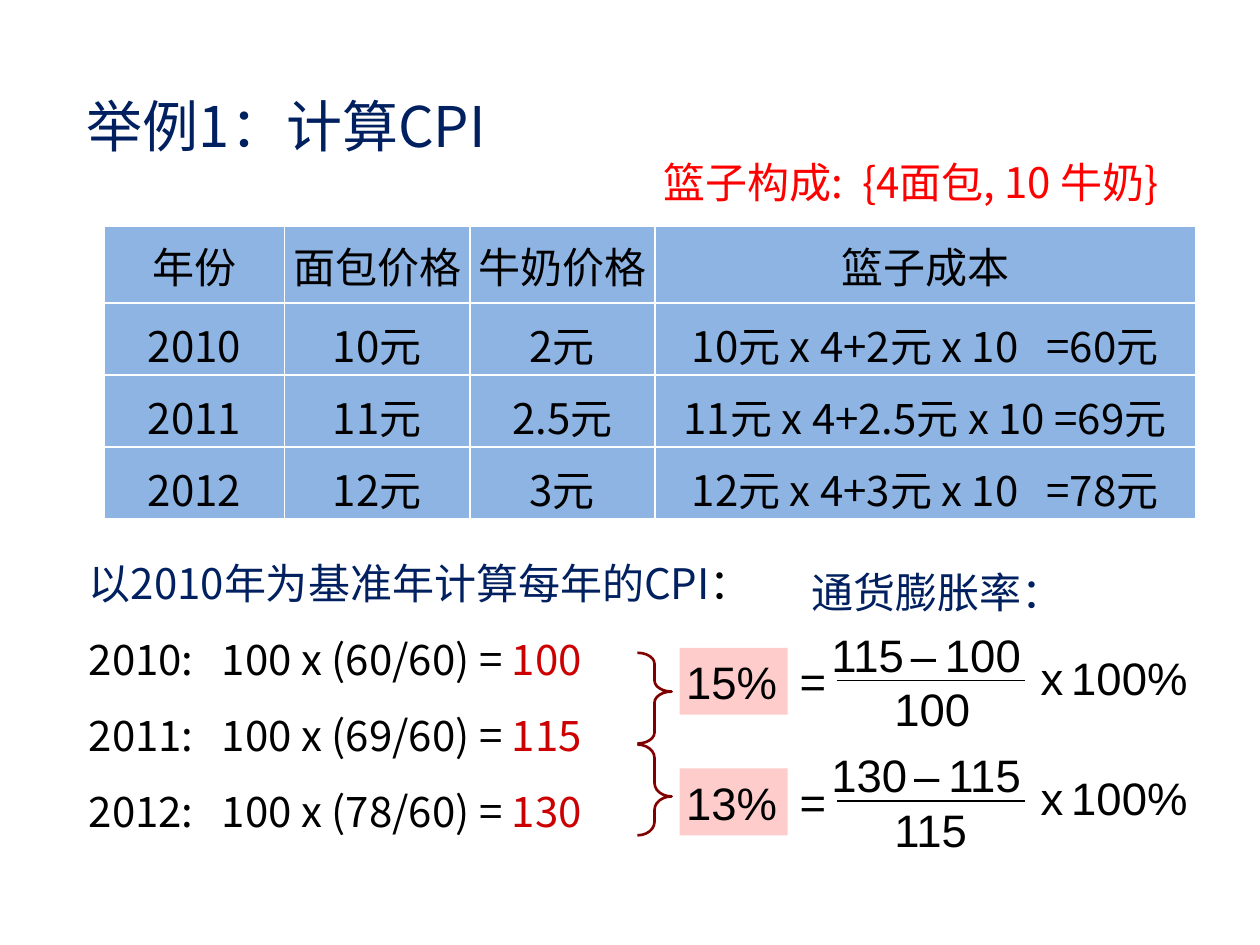
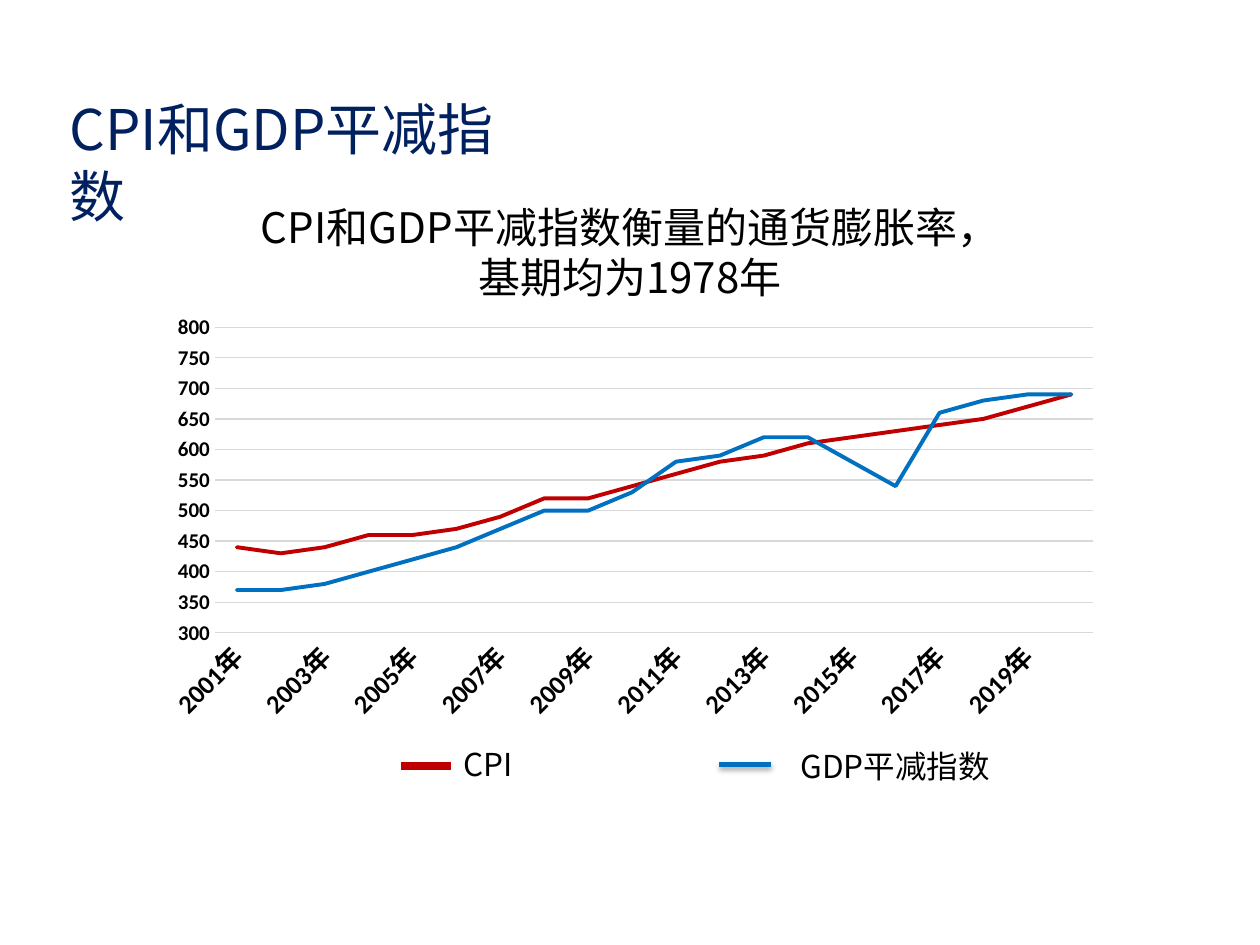
from lxml import etree
from pptx import Presentation
from pptx import util as u
from pptx.chart.data import CategoryChartData
from pptx.dml.color import RGBColor
from pptx.enum import chart as charts, shapes, text
from pptx.oxml import parse_xml
from pptx.oxml.ns import nsdecls, qn

Cm, Pt = u.Cm, u.Pt
rgb = RGBColor.from_string
NAVY, BLACK, WHITE, RED = "002060", "000000", "FFFFFF", "FF0000"
DARK_RED, BLUE, PINK, GRID = "C00000", "0070C0", "FFCCCC", "D9D9D9"
CJK = "Noto Sans CJK SC"
CENTER = text.PP_ALIGN.CENTER
TITLE = {"size": 32, "color": NAVY}


def write(frame, lines, size=24, color=BLACK, font=CJK, align=None, spacing=None, before=None):
    for number, line in enumerate(lines):
        paragraph = frame.paragraphs[0] if number == 0 else frame.add_paragraph()
        pieces = [(line, {})] if isinstance(line, str) else line
        paragraph.text = pieces[0][0]
        for words, _ in pieces[1:]:
            paragraph.add_run().text = words
        paragraph.alignment = align
        paragraph.line_spacing = spacing
        paragraph.space_before = before
        for run, (_, style) in zip(paragraph.runs, pieces):
            run.font.name = font
            run.font.size = Pt(style.get("size", size))
            run.font.color.rgb = rgb(style.get("color", color))
            east_asian = etree.SubElement(run.font._element, qn("a:ea"))
            east_asian.set("typeface", font)


def add_text(slide, box, lines, wrap=True, tight=False, **style):
    frame = slide.shapes.add_textbox(*[Cm(length) for length in box]).text_frame
    frame.word_wrap = wrap
    if tight:
        frame.margin_left = frame.margin_right = frame.margin_top = frame.margin_bottom = 0
        frame.vertical_anchor = text.MSO_ANCHOR.MIDDLE
    write(frame, lines, **style)


presentation = Presentation()
presentation.slide_width, presentation.slide_height = Cm(25.4), Cm(19.05)
blank = presentation.slide_layouts[6]

slide = presentation.slides.add_slide(blank)
add_text(slide, (1.5, 1.72, 9.14, 1.62), ["举例1：计算CPI"], **TITLE)
add_text(slide, (12.49, 3.04, 11.76, 1.52), ["篮子构成:  {4面包, 10 牛奶}"], color=RED, align=CENTER)

cpi_lines = [[("以2010年为基准年计算每年的CPI", {"color": NAVY}), ("：", {})]]
for year, cost, cpi in ((2010, 60, 100), (2011, 69, 115), (2012, 78, 130)):
    cpi_lines.append([(f"{year}:   100 x ({cost}/60) = ", {}), (str(cpi), {"color": "CC0000"})])
add_text(slide, (1.54, 11.07, 14.7, 7.52), cpi_lines, spacing=1.05, before=Pt(13.2))
add_text(slide, (15.93, 11.3, 6.22, 1.35), [" 通货膨胀率："], color=NAVY)

inflation_rates = [
    ("15%", "115", "100", 13.16, (0.321, 0.428)),
    ("13%", "130", "115", 15.01, (0.391, 0.572)),
]
formula = {"wrap": False, "tight": True, "size": 26, "font": "Arial"}
for row, (rate, current, previous, brace_top, adjustments) in enumerate(inflation_rates):
    top = 12.64 + row * 2.43
    rate_box = slide.shapes.add_shape(
        shapes.MSO_SHAPE.RECTANGLE, Cm(13.7), Cm(top + 0.42), Cm(2.18), Cm(1.35))
    rate_box.shadow.inherit = False
    rate_box.fill.solid()
    rate_box.fill.fore_color.rgb = rgb(PINK)
    rate_box.line.fill.background()
    frame = rate_box.text_frame
    frame.margin_left = frame.margin_right = frame.margin_top = frame.margin_bottom = Cm(0.13)
    write(frame, [rate], size=26, font="Arial", align=text.PP_ALIGN.LEFT)

    brace = slide.shapes.add_shape(
        shapes.MSO_SHAPE.RIGHT_BRACE, Cm(12.85), Cm(brace_top), Cm(0.69), Cm(1.83))
    brace.shadow.inherit = False
    brace.fill.background()
    brace.line.color.rgb = rgb("800000")
    brace.line.width = Pt(1.5)
    brace.adjustments[0], brace.adjustments[1] = adjustments

    numerator = [(current, {}), (" ", {"size": 14}), ("–", {}), (" ", {"size": 18}), (previous, {})]
    add_text(slide, (16.76, top, 3.95, 1.09), [numerator], **formula)
    add_text(slide, (18.03, top + 1.1, 1.65, 1.09), [previous], **formula)
    add_text(slide, (20.98, top + 0.46, 3.05, 1.09),
             [[("x", {}), (" ", {"size": 16}), ("100%", {})]], **formula)
    add_text(slide, (16.12, top + 0.52, 0.6, 1.12), ["="], **formula)
    bar = slide.shapes.add_connector(
        shapes.MSO_CONNECTOR.STRAIGHT, Cm(16.87), Cm(top + 1.08), Cm(20.67), Cm(top + 1.08))
    bar.line.color.rgb = rgb(BLACK)
    bar.line.width = Pt(0.75)
    etree.SubElement(bar._element.spPr, qn("a:effectLst"))

basket_rows = [
    ("年份", "面包价格", "牛奶价格", "篮子成本"),
    ("2010", "10元", "2元", "10元 x 4+2元 x 10   =60元"),
    ("2011", "11元", "2.5元", "11元 x 4+2.5元 x 10 =69元"),
    ("2012", "12元", "3元", "12元 x 4+3元 x 10   =78元"),
]
table = slide.shapes.add_table(4, 4, Cm(2.1), Cm(4.56), Cm(22), Cm(5.9)).table
for column, width in zip(table.columns, (3.64, 3.73, 3.73, 10.9)):
    column.width = Cm(width)
for row_number, values in enumerate(basket_rows):
    table.rows[row_number].height = Cm(1.45 if row_number else 1.55)
    for column_number, value in enumerate(values):
        cell = table.cell(row_number, column_number)
        cell.margin_left = cell.margin_right = cell.margin_top = Cm(0.03)
        cell.margin_bottom = 0
        cell.vertical_anchor = text.MSO_ANCHOR.BOTTOM if row_number else text.MSO_ANCHOR.MIDDLE
        write(cell.text_frame, [value], align=CENTER)
        properties = cell._tc.get_or_add_tcPr()
        for edge in ("lnL", "lnR", "lnT", "lnB"):
            properties.append(parse_xml(
                f'<a:{edge} {nsdecls("a")} w="12700"><a:solidFill>'
                f'<a:srgbClr val="{WHITE}"/></a:solidFill></a:{edge}>'))
        cell.fill.solid()
        cell.fill.fore_color.rgb = rgb("8EB4E3")

slide = presentation.slides.add_slide(blank)
add_text(slide, (1.15, 1.78, 9.75, 1.62), ["CPI和GDP平减指数"], **TITLE)
add_text(slide, (4.7, 3.93, 16, 2.31),
         ["CPI和GDP平减指数衡量的通货膨胀率，基期均为1978年"], align=CENTER)

legend_entries = [
    ("GDP平减指数", BLUE, 3, (14.5, 15.55), 15.41, (15.89, 14.93, 4.45, 1.02)),
    ("CPI", DARK_RED, 4.25, (8.09, 9.09), 15.44, (9.09, 14.9, 2.41, 1.8)),
]
for label, color, weight, (start, end), height, label_box in legend_entries:
    key = slide.shapes.add_connector(
        shapes.MSO_CONNECTOR.STRAIGHT, Cm(start), Cm(height), Cm(end), Cm(height))
    key.line.color.rgb = rgb(color)
    key.line.width = Pt(weight)
    effects = etree.SubElement(key._element.spPr, qn("a:effectLst"))
    if color == BLUE:
        effects.append(parse_xml(
            f'<a:outerShdw {nsdecls("a")} blurRad="40000" dist="23000" dir="5400000" '
            f'rotWithShape="0"><a:srgbClr val="{BLACK}"><a:alpha val="35000"/></a:srgbClr>'
            '</a:outerShdw>'))
    add_text(slide, label_box, [label], size=18)

chart_data = CategoryChartData()
chart_data.categories = [f"{year}年" for year in range(2001, 2021)]
chart_data.add_series("Series 1", (440, 430, 440, 460, 460, 470, 490, 520, 520, 540,
                                   560, 580, 590, 610, 620, 630, 640, 650, 670, 690))
chart_data.add_series("Series 2", (370, 370, 380, 400, 420, 440, 470, 500, 500, 530,
                                   580, 590, 620, 620, 580, 540, 660, 680, 690, 690))
chart = slide.shapes.add_chart(
    charts.XL_CHART_TYPE.LINE, Cm(2.97), Cm(6.25), Cm(19.46), Cm(8.68), chart_data).chart
chart.has_legend = False
chart.has_title = False
chart.font.name = "Calibri"
chart.font.size = Pt(10)
chart.font.color.rgb = rgb(BLACK)
chart.plots[0].vary_by_categories = False
for series, color in zip(chart.plots[0].series, (DARK_RED, BLUE)):
    series.smooth = False
    series.marker.style = charts.XL_MARKER_STYLE.NONE
    series.format.line.color.rgb = rgb(color)
    series.format.line.width = Pt(2.25)
    series._element.spPr.find(qn("a:ln")).set("cap", "rnd")

category_axis, value_axis = chart.category_axis, chart.value_axis
for axis, size in ((category_axis, 15), (value_axis, 12)):
    axis.major_tick_mark = axis.minor_tick_mark = charts.XL_TICK_MARK.NONE
    font = axis.tick_labels.font
    font.name, font.size, font.bold = "Calibri", Pt(size), True
    font.color.rgb = rgb(BLACK)
category_axis._element.txPr.bodyPr.set("rot", "-2700000")
value_axis.minimum_scale, value_axis.maximum_scale, value_axis.major_unit = 300, 800, 50
value_axis.format.line.fill.background()
for line in (category_axis.format.line, value_axis.major_gridlines.format.line):
    line.color.rgb = rgb(GRID)
    line.width = Pt(0.75)

plot_area = chart._chartSpace.chart.plotArea
for old_layout in plot_area.findall(qn("c:layout")):
    plot_area.remove(old_layout)
plot_area.insert(0, parse_xml(
    f'<c:layout {nsdecls("c")}><c:manualLayout><c:layoutTarget val="inner"/>'
    '<c:xMode val="edge"/><c:yMode val="edge"/><c:x val="0.07"/><c:y val="0.04"/>'
    '<c:w val="0.91"/><c:h val="0.71"/></c:manualLayout></c:layout>'))

presentation.save("out.pptx")
